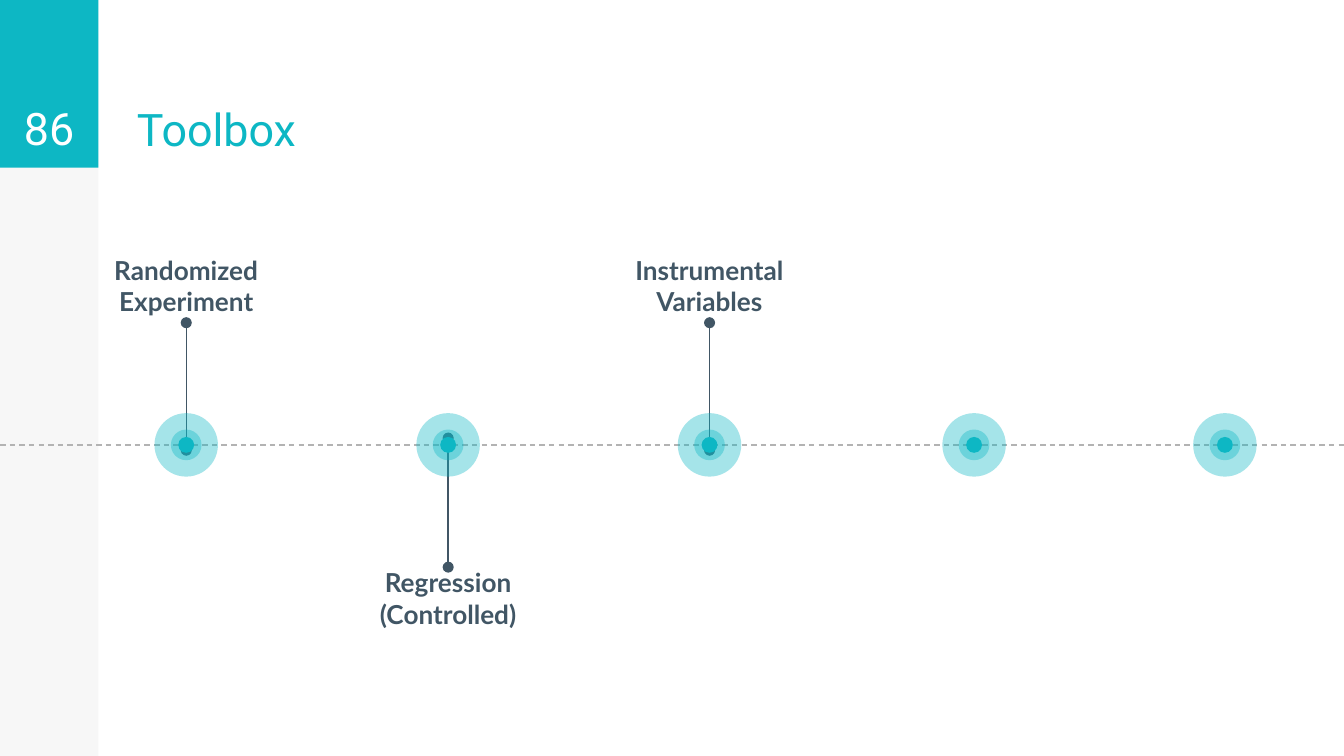
"""Build the Toolbox timeline slide."""
from typing import NamedTuple, Optional

from lxml import etree
from pptx import Presentation
from pptx.dml.color import RGBColor
from pptx.enum.dml import MSO_LINE
from pptx.enum.shapes import MSO_CONNECTOR, MSO_SHAPE
from pptx.enum.text import MSO_ANCHOR, PP_ALIGN
from pptx.oxml.ns import qn
from pptx.util import Cm, Pt

RECT, OVAL = MSO_SHAPE.RECTANGLE, MSO_SHAPE.OVAL
STRAIGHT, DASH = MSO_CONNECTOR.STRAIGHT, MSO_LINE.DASH
TOP, BOTTOM = MSO_ANCHOR.TOP, MSO_ANCHOR.BOTTOM
LEFT, CENTER = PP_ALIGN.LEFT, PP_ALIGN.CENTER

TEAL = RGBColor(0x0D, 0xB7, 0xC4)
SLATE = RGBColor(0x41, 0x56, 0x65)
GREY = RGBColor(0xB3, 0xB3, 0xB3)
BLACK = RGBColor(0, 0, 0)
WHITE = RGBColor(0xFF, 0xFF, 0xFF)

SLIDE_W, SLIDE_H = 25.4, 14.29
BAR_W, HEADER_H = 1.86, 3.17
AXIS_Y = 8.41
LABEL_W, LABEL_H = 3.46, 1.14
INSET = Cm(0.25)

HEADING = {"size": Pt(24), "name": "Roboto", "bold": False}
LABEL = {"size": Pt(14), "name": "Lato", "bold": True}


class Box(NamedTuple):
    x: float
    y: float
    w: float
    h: float


class Ring(NamedTuple):
    diameter: float
    alpha: Optional[int]


class Stem(NamedTuple):
    start: float
    end: float
    label_top: float


class Stop(NamedTuple):
    x: float
    text: str = ""
    stem: Optional[Stem] = None


RINGS = [Ring(1.2, 37), Ring(0.58, 37), Ring(0.3, None)]
UP = Stem(8.51, 6.1, 4.56)
DOWN = Stem(8.28, 10.72, 10.46)
STOPS = [
    Stop(3.52, "Randomized Experiment", UP),
    Stop(8.47, "Regression (Controlled)", DOWN),
    Stop(13.41, "Instrumental Variables", UP),
    Stop(18.41),
    Stop(23.15),
]


def add_solid(shapes, kind, box: Box, color: RGBColor, alpha: Optional[int] = None) -> None:
    """Add a borderless filled shape, with opacity in percent."""
    sp = shapes.add_shape(kind, *map(Cm, box))
    sp.shadow.inherit = False
    sp.line.fill.background()
    sp.fill.solid()
    sp.fill.fore_color.rgb = color
    if alpha is not None:
        clr = sp.fill._xPr.find(".//" + qn("a:srgbClr"))
        etree.SubElement(clr, qn("a:alpha"), val=str(alpha * 1000))


def add_text(shapes, box: Box, text: str, font: dict, color: RGBColor, align, anchor) -> None:
    """Add a wrapped text box with a single run."""
    tf = shapes.add_textbox(*map(Cm, box)).text_frame
    frame = {"word_wrap": True, "vertical_anchor": anchor, "margin_left": INSET,
             "margin_right": INSET, "margin_top": INSET, "margin_bottom": INSET}
    for name, value in frame.items():
        setattr(tf, name, value)
    p = tf.paragraphs[0]
    p.alignment = align
    r = p.add_run()
    r.text = text
    for name, value in font.items():
        setattr(r.font, name, value)
    r.font.color.rgb = color


def add_line(shapes, x1: float, y1: float, x2: float, y2: float, color: RGBColor):
    """Add a thin straight connector without a shadow."""
    line = shapes.add_connector(STRAIGHT, Cm(x1), Cm(y1), Cm(x2), Cm(y2))
    line.line.color.rgb = color
    line.line.width = Pt(0.75)
    etree.SubElement(line._element.spPr, qn("a:effectLst"))
    return line


def add_stem(shapes, stop: Stop) -> None:
    """Add a stop's round-ended stem and its label."""
    stem = stop.stem
    line = add_line(shapes, stop.x, stem.start, stop.x, stem.end, SLATE)
    for tag in ("a:headEnd", "a:tailEnd"):
        etree.SubElement(line.line._get_or_add_ln(), qn(tag), type="oval")
    box = Box(stop.x - LABEL_W / 2, stem.label_top, LABEL_W, LABEL_H)
    add_text(shapes, box, stop.text, LABEL, SLATE, CENTER, TOP)


def add_marker(shapes, x: float) -> None:
    """Add a group of concentric circles on the axis."""
    group = shapes.add_group_shape()
    for ring in RINGS:
        d = ring.diameter
        add_solid(group.shapes, OVAL, Box(x - d / 2, AXIS_Y - d / 2, d, d), TEAL, ring.alpha)


def main() -> None:
    """Build and save the slide."""
    prs = Presentation()
    prs.slide_width, prs.slide_height = Cm(SLIDE_W), Cm(SLIDE_H)
    s = prs.slides.add_slide(prs.slide_layouts[6])
    header = Box(0, 0, BAR_W, HEADER_H)
    add_solid(s.shapes, RECT, Box(0, 0, BAR_W, SLIDE_H), BLACK, 3)
    add_solid(s.shapes, RECT, header, TEAL)
    add_text(s.shapes, Box(2.34, 0.02, 9.88, HEADER_H), "Toolbox", HEADING, TEAL, LEFT, BOTTOM)
    add_text(s.shapes, header, "86", HEADING, WHITE, CENTER, BOTTOM)
    axis = add_line(s.shapes, 0, AXIS_Y, SLIDE_W, AXIS_Y, GREY)
    axis.line.dash_style = DASH
    for stop in STOPS:
        if stop.stem:
            add_stem(s.shapes, stop)
    for stop in STOPS:
        add_marker(s.shapes, stop.x)
    prs.save("out.pptx")


if __name__ == "__main__":
    main()
